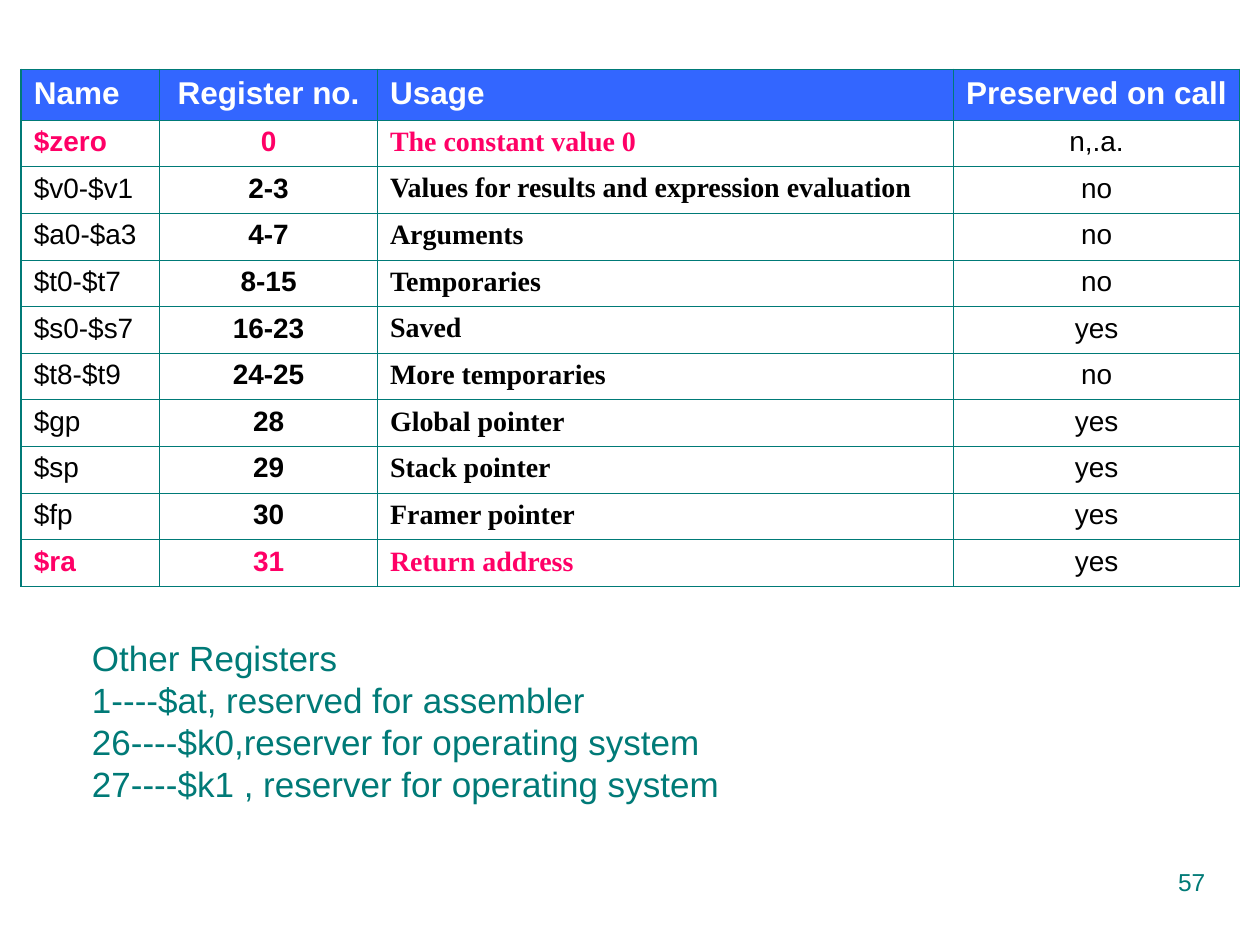
from lxml.etree import SubElement
from pptx import Presentation
from pptx.dml.color import RGBColor
from pptx.enum.text import MSO_ANCHOR, MSO_AUTO_SIZE, PP_ALIGN
from pptx.oxml import parse_xml
from pptx.oxml.ns import nsdecls, qn
from pptx.util import Cm, Pt

TEAL = RGBColor(0x00, 0x7A, 0x77)
BLUE = RGBColor(0x33, 0x66, 0xFF)
PINK = RGBColor(0xFF, 0x00, 0x66)
WHITE = RGBColor(0xFF, 0xFF, 0xFF)
BLACK = RGBColor(0x00, 0x00, 0x00)

REGISTERS = [
    ("Name", "Register no.", "Usage", "Preserved on call"),
    ("$zero", "0", "The constant value 0", "n,.a."),
    ("$v0-$v1", "2-3", "Values for results and expression evaluation", "no"),
    ("$a0-$a3", "4-7", "Arguments", "no"),
    ("$t0-$t7", "8-15", "Temporaries", "no"),
    ("$s0-$s7", "16-23", "Saved", "yes"),
    ("$t8-$t9", "24-25", "More temporaries", "no"),
    ("$gp", "28", "Global pointer", "yes"),
    ("$sp", "29", "Stack pointer", "yes"),
    ("$fp", "30", "Framer pointer", "yes"),
    ("$ra", "31", "Return address", "yes"),
]
HIGHLIGHTED = ("$zero", "$ra")
OTHER_REGISTERS = [
    "Other Registers",
    "1----$at, reserved for assembler",
    "26----$k0,reserver for operating system",
    "27----$k1 , reserver for operating system",
]
PAGE_NUMBER = "57"

COLUMN_WIDTHS = [2.79, 4.39, 11.61, 5.77]
ROW_HEIGHTS = [1.02] + [0.94] * (len(REGISTERS) - 1)
NAME, NUMBER, USAGE, PRESERVED = range(4)
OUTER_LINE, INNER_LINE = Pt(1.08), Pt(0.45)


def format_paragraph(paragraph, size, color, font="Arial", bold=False, align=PP_ALIGN.LEFT):
    paragraph.alignment = align
    for run in paragraph.runs:
        run.font.name = font
        run.font.size = Pt(size)
        run.font.bold = bold
        run.font.color.rgb = color


def set_borders(cell, outer_sides):
    properties = cell._tc.get_or_add_tcPr()
    for index, side in enumerate("LRTB"):
        width = OUTER_LINE if side in outer_sides else INNER_LINE
        properties.insert(index, parse_xml(
            f'<a:ln{side} {nsdecls("a")} w="{width}"><a:solidFill>'
            f'<a:srgbClr val="{TEAL}"/></a:solidFill></a:ln{side}>'))


def format_cell(cell, row, column):
    header = row == 0
    highlighted = REGISTERS[row][NAME] in HIGHLIGHTED and column != PRESERVED
    centered = column == NUMBER or (column == PRESERVED and not header)
    format_paragraph(
        cell.text_frame.paragraphs[0],
        size=18 if header else 16,
        color=WHITE if header else PINK if highlighted else BLACK,
        font="Times New Roman" if column == USAGE and not header else "Arial",
        bold=header or highlighted or column in (NUMBER, USAGE),
        align=PP_ALIGN.CENTER if centered else PP_ALIGN.LEFT,
    )
    if header:
        cell.fill.solid()
        cell.fill.fore_color.rgb = BLUE
    else:
        cell.fill.background()
    edges = {"L": column == 0, "R": column == len(COLUMN_WIDTHS) - 1,
             "T": header, "B": row == len(REGISTERS) - 1}
    set_borders(cell, [side for side, on_edge in edges.items() if on_edge])


def add_register_table(slide):
    shape = slide.shapes.add_table(
        len(REGISTERS), len(COLUMN_WIDTHS), Cm(0.43), Cm(1.4),
        Cm(sum(COLUMN_WIDTHS)), Cm(sum(ROW_HEIGHTS)))
    table = shape.table
    table.horz_banding = False
    for column, width in zip(table.columns, COLUMN_WIDTHS):
        column.width = Cm(width)
    for row, height in zip(table.rows, ROW_HEIGHTS):
        row.height = Cm(height)
    for row, values in enumerate(REGISTERS):
        for column, value in enumerate(values):
            cell = table.cell(row, column)
            cell.text_frame.text = value
            format_cell(cell, row, column)


def fill_other_registers(body):
    body.left, body.top, body.width, body.height = Cm(1.6), Cm(12.7), Cm(17.27), Cm(4.5)
    text_frame = body.text_frame
    text_frame.text = "\n".join(OTHER_REGISTERS)
    text_frame.auto_size = MSO_AUTO_SIZE.NONE
    text_frame.vertical_anchor = MSO_ANCHOR.TOP
    for paragraph in text_frame.paragraphs:
        properties = paragraph._p.get_or_add_pPr()
        properties.set("marL", "0")
        properties.set("indent", "0")
        SubElement(properties, qn("a:buNone"))
        paragraph.space_before = Pt(0)
        format_paragraph(paragraph, 20, TEAL)


def add_page_number(slide):
    shape = slide.shapes.add_textbox(Cm(18.2), Cm(17.35), Cm(6.35), Cm(1.32))
    shape.text_frame.word_wrap = True
    shape.text_frame.text = PAGE_NUMBER
    format_paragraph(shape.text_frame.paragraphs[0], 14, TEAL, align=PP_ALIGN.RIGHT)


def main():
    presentation = Presentation()
    presentation.slide_width, presentation.slide_height = Cm(25.4), Cm(19.05)
    slide = presentation.slides.add_slide(presentation.slide_layouts[1])
    title, body = slide.placeholders
    title.element.getparent().remove(title.element)
    fill_other_registers(body)
    add_register_table(slide)
    add_page_number(slide)
    presentation.save("out.pptx")


if __name__ == "__main__":
    main()
